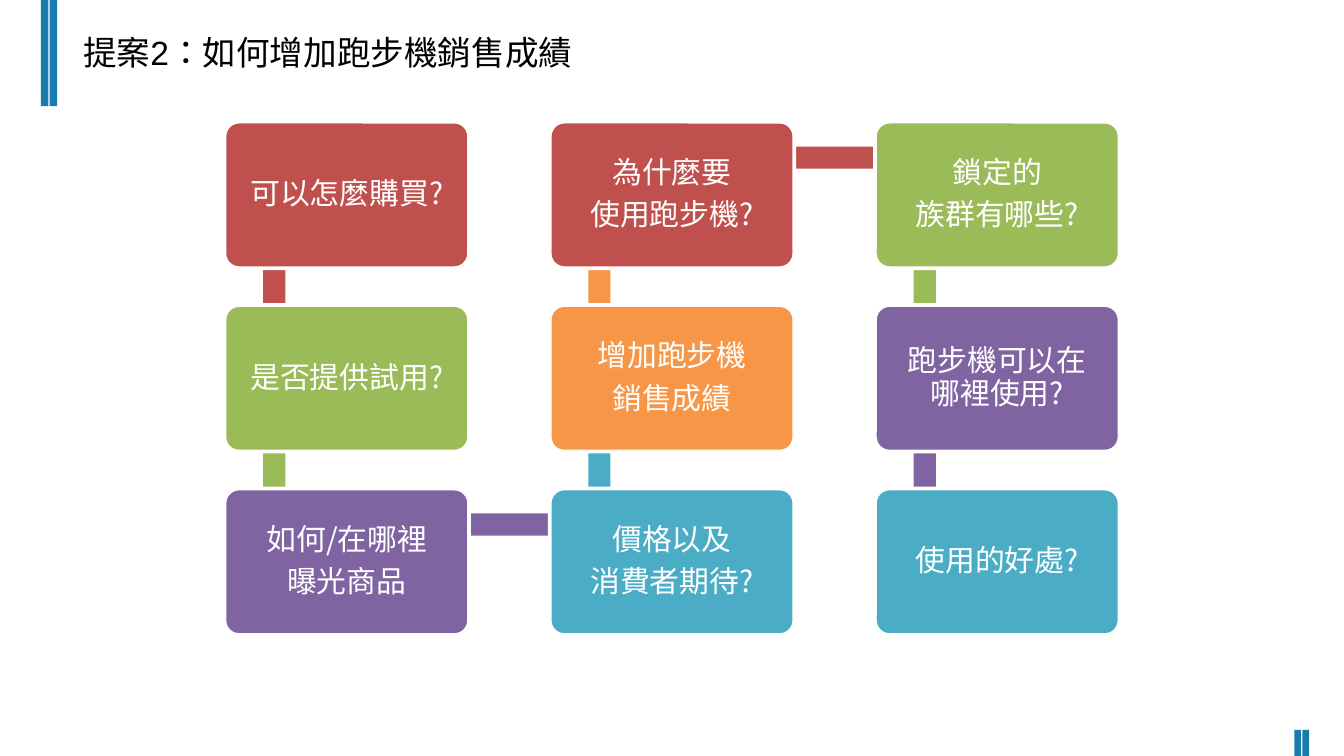
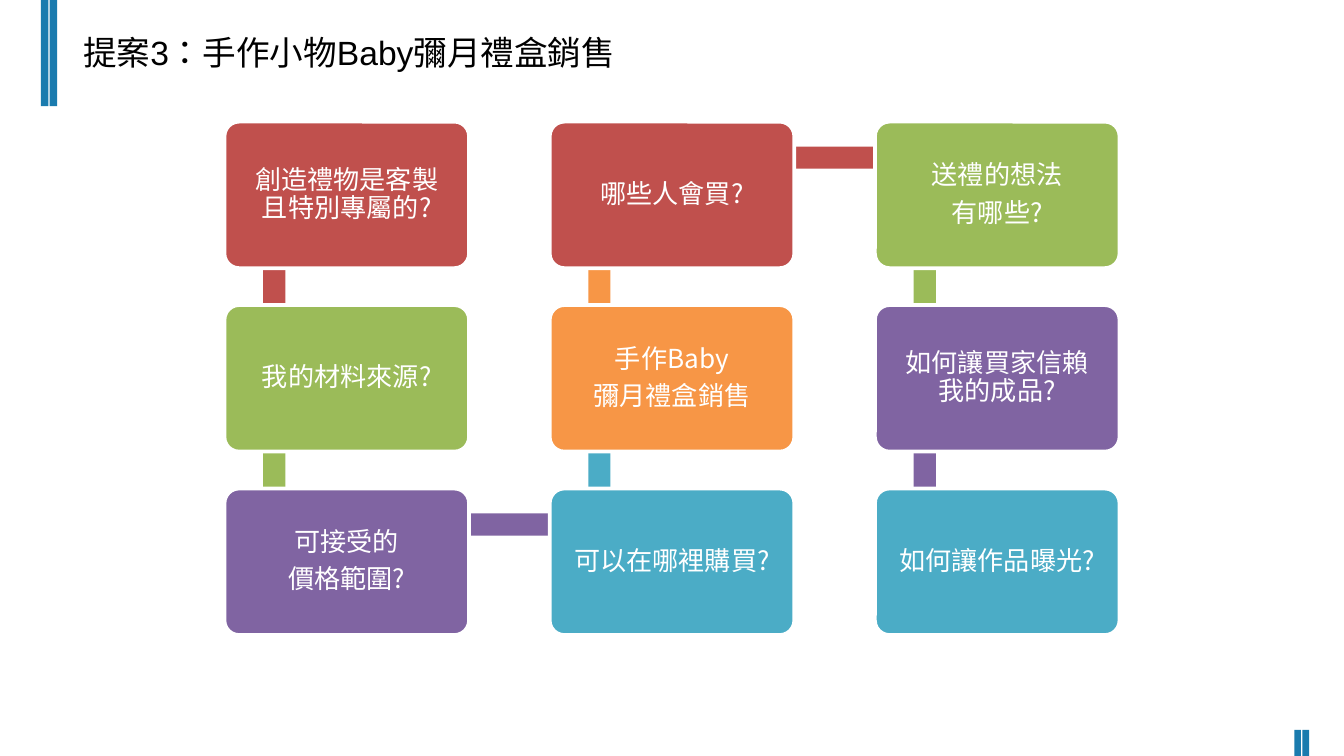
"""Build two slides, each a snake-shaped chain of nine questions about a sales proposal."""
from dataclasses import dataclass
from itertools import cycle

from pptx import Presentation
from pptx.dml.color import RGBColor
from pptx.enum.shapes import MSO_SHAPE as SHAPE
from pptx.enum.text import MSO_ANCHOR as ANCHOR, MSO_AUTO_SIZE as AUTO_SIZE, PP_ALIGN as ALIGN
from pptx.oxml.ns import qn
from pptx.util import Emu, Pt
from lxml.etree import SubElement

PX = 4572
WHITE = RGBColor(0xFF, 0xFF, 0xFF)
BLACK = RGBColor(0x00, 0x00, 0x00)
BLUE = RGBColor(0x1A, 0x7B, 0xAE)
RED = RGBColor(0xC0, 0x50, 0x4D)
GREEN = RGBColor(0x9B, 0xBB, 0x59)
PURPLE = RGBColor(0x80, 0x64, 0xA2)
AQUA = RGBColor(0x4B, 0xAC, 0xC6)
ORANGE = RGBColor(0xF7, 0x96, 0x46)
STEP_COLORS = (RED, GREEN, PURPLE, AQUA, ORANGE)

TITLE_FONT = "Arial"
STEP_FONT = "Noto Sans CJK SC"

COLUMNS = range(334, 1303, 484)
ROWS = range(181, 728, 273)
BOX_W, BOX_H = 364, 218
BAR = 33


@dataclass(frozen=True)
class Rect:
    x: int
    y: int
    w: int
    h: int


@dataclass(frozen=True)
class Proposal:
    title: str
    title_w: int
    size: int
    steps: tuple[str, ...]


EDGE_BARS = (
    Rect(61, 0, 11, 158),
    Rect(74, 0, 11, 158),
    Rect(1938, 1086, 10, 39),
    Rect(1926, 1086, 10, 39),
)

PROPOSALS = (
    Proposal("提案2：如何增加跑步機銷售成績", 776, 16, (
        "可以怎麼購買?",
        "是否提供試用?",
        "如何/在哪裡\n曝光商品",
        "價格以及\n消費者期待?",
        "增加跑步機\n銷售成績",
        "為什麼要\n使用跑步機?",
        "鎖定的\n族群有哪些?",
        "跑步機可以在哪裡使用?",
        "使用的好處?",
    )),
    Proposal("提案3：手作小物Baby彌月禮盒銷售", 840, 14, (
        "創造禮物是客製且特別專屬的?",
        "我的材料來源?",
        "可接受的\n價格範圍?",
        "可以在哪裡購買?",
        "手作Baby\n彌月禮盒銷售",
        "哪些人會買?",
        "送禮的想法\n有哪些?",
        "如何讓買家信賴我的成品?",
        "如何讓作品曝光?",
    )),
)


def px(n: int) -> Emu:
    return Emu(n * PX)


def add_block(slide, kind, rect: Rect, color: RGBColor):
    sp = slide.shapes.add_shape(kind, px(rect.x), px(rect.y), px(rect.w), px(rect.h))
    sp.shadow.inherit = False
    sp.fill.solid()
    sp.fill.fore_color.rgb = color
    sp.line.fill.background()
    return sp


def add_title(slide, text: str, width: int) -> None:
    tf = slide.shapes.add_textbox(px(104), px(38), px(width), px(80)).text_frame
    tf.word_wrap = True
    tf.auto_size = AUTO_SIZE.SHAPE_TO_FIT_TEXT
    tf.text = text
    r = tf.paragraphs[0].runs[0]
    r.font.name, r.font.size = TITLE_FONT, Pt(18)
    r.font.color.rgb = BLACK
    r._r.get_or_add_rPr().set("lang", "zh-TW")


def add_bar(slide, start: tuple[int, int], end: tuple[int, int], color: RGBColor) -> None:
    (x1, y1), (x2, y2) = start, end
    if x1 != x2:
        add_block(slide, SHAPE.RECTANGLE, Rect(x1 + 74, y1 + 37, 482, BAR), color)
        return
    sp = add_block(slide, SHAPE.RECTANGLE, Rect(x1 - 61, min(y1, y2) + 173, 270, BAR), color)
    sp.rotation = 90 if y2 > y1 else 270


def add_step(slide, at: tuple[int, int], text: str, size: int, color: RGBColor) -> None:
    sp = add_block(slide, SHAPE.ROUNDED_RECTANGLE, Rect(*at, BOX_W, BOX_H), color)
    sp.adjustments[0] = 0.1
    sp.line.color.rgb = WHITE
    sp.line.width = Pt(2)
    tf = sp.text_frame
    tf.word_wrap = True
    tf.vertical_anchor = ANCHOR.MIDDLE
    tf.margin_left = tf.margin_right = tf.margin_top = tf.margin_bottom = px(28)
    tf.text = text
    for p in tf.paragraphs:
        p.alignment = ALIGN.CENTER
        p.line_spacing = 0.9
        after = SubElement(p._p.get_or_add_pPr(), qn("a:spcAft"))
        SubElement(after, qn("a:spcPct"), val="35000")
        for r in p.runs:
            r.font.name, r.font.size = STEP_FONT, Pt(size)
            r.font.color.rgb = WHITE
            SubElement(r._r.get_or_add_rPr(), qn("a:ea"), typeface=STEP_FONT)


def add_proposal(prs, proposal: Proposal) -> None:
    slide = prs.slides.add_slide(prs.slide_layouts[6])
    for rect in EDGE_BARS:
        add_block(slide, SHAPE.RECTANGLE, rect, BLUE)
    spots = [(x, y) for i, x in enumerate(COLUMNS) for y in (ROWS[::-1] if i % 2 else ROWS)]
    for start, end, color in zip(spots, spots[1:], cycle(STEP_COLORS)):
        add_bar(slide, start, end, color)
    for spot, text, color in zip(spots, proposal.steps, cycle(STEP_COLORS)):
        add_step(slide, spot, text, proposal.size, color)
    add_title(slide, proposal.title, proposal.title_w)


def main() -> None:
    prs = Presentation()
    prs.slide_width, prs.slide_height = px(2000), px(1125)
    for proposal in PROPOSALS:
        add_proposal(prs, proposal)
    prs.save("out.pptx")


if __name__ == "__main__":
    main()
